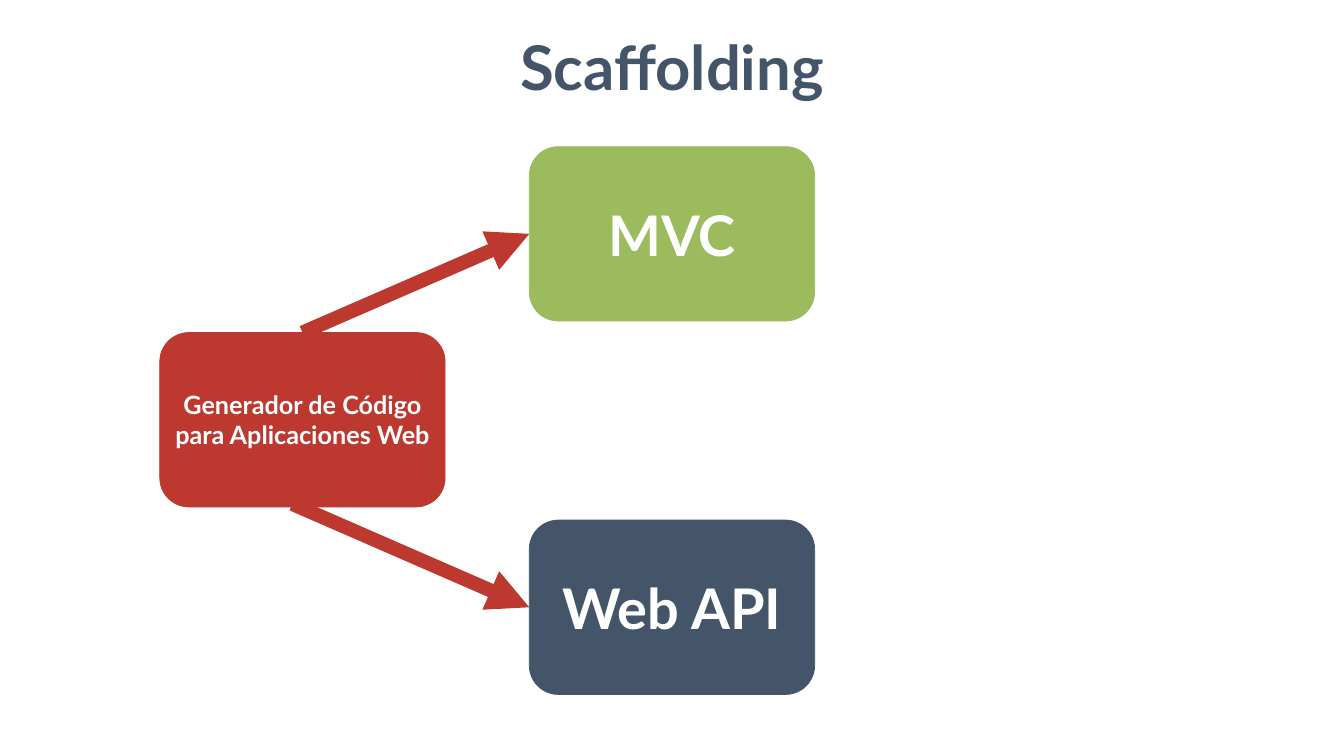
import dataclasses

import pptx
import pptx.dml.color
import pptx.enum.shapes
import pptx.enum.text
import pptx.oxml
import pptx.oxml.ns
import pptx.slide
import pptx.text.text
import pptx.util
from pptx.util import Cm

FONT = "Lato"
COLOURS = {"red": "BD392F", "green": "9BBB5C", "navy": "445469", "white": "FFFFFF"}
BOX_WIDTH, BOX_HEIGHT = 14.38, 8.79
TARGET_LEFT = 26.67


@dataclasses.dataclass(frozen=True)
class Box:
    label: str
    left: float
    top: float
    colour: str
    size: int

    @property
    def middle(self) -> float:
        return self.top + BOX_HEIGHT / 2


@dataclasses.dataclass(frozen=True)
class Arrow:
    start_x: float
    start_y: float
    target: Box


GENERATOR = Box("Generador de Código para Aplicaciones Web", 8.05, 16.76, "red", 36)
MVC = Box("MVC", TARGET_LEFT, 7.39, "green", 80)
WEB_API = Box("Web API", TARGET_LEFT, 26.21, "navy", 80)
ARROWS = [Arrow(15.24, 16.76, MVC), Arrow(14.73, 25.4, WEB_API)]


def rgb(colour: str) -> pptx.dml.color.RGBColor:
    return pptx.dml.color.RGBColor.from_string(COLOURS[colour])


def write_centred(frame: pptx.text.text.TextFrame, text: str, size: int, colour: str) -> None:
    frame.text = text
    frame.word_wrap = True
    paragraph = frame.paragraphs[0]
    paragraph.alignment = pptx.enum.text.PP_ALIGN.CENTER
    font = paragraph.runs[0].font
    font.name = FONT
    font.size = pptx.util.Pt(size)
    font.bold = True
    font.color.rgb = rgb(colour)


def draw_title(slide: pptx.slide.Slide) -> None:
    title = slide.shapes.add_textbox(Cm(16.69), Cm(1.35), Cm(34.34), Cm(4.01))
    write_centred(title.text_frame, "Scaffolding", 88, "navy")
    title.text_frame.auto_size = pptx.enum.text.MSO_AUTO_SIZE.SHAPE_TO_FIT_TEXT


def draw_box(slide: pptx.slide.Slide, box: Box) -> None:
    panel = slide.shapes.add_shape(
        pptx.enum.shapes.MSO_SHAPE.ROUNDED_RECTANGLE,
        Cm(box.left), Cm(box.top), Cm(BOX_WIDTH), Cm(BOX_HEIGHT),
    )
    panel.shadow.inherit = False
    panel.fill.solid()
    panel.fill.fore_color.rgb = rgb(box.colour)
    panel.line.color.rgb = rgb(box.colour)
    panel.line.width = pptx.util.Pt(1)
    panel.text_frame.vertical_anchor = pptx.enum.text.MSO_ANCHOR.MIDDLE
    write_centred(panel.text_frame, box.label, box.size, "white")


def draw_arrow(slide: pptx.slide.Slide, arrow: Arrow) -> None:
    """Point from the generator to the middle of the target's left edge."""
    connector = slide.shapes.add_connector(
        pptx.enum.shapes.MSO_CONNECTOR.STRAIGHT,
        Cm(arrow.start_x), Cm(arrow.start_y),
        Cm(arrow.target.left), Cm(arrow.target.middle),
    )
    connector.line.color.rgb = rgb("red")
    connector.line.width = pptx.util.Pt(20)
    properties = connector.element.spPr
    outline = properties.find(pptx.oxml.ns.qn("a:ln"))
    namespace = pptx.oxml.ns.nsdecls("a")
    outline.append(pptx.oxml.parse_xml(f'<a:tailEnd {namespace} type="triangle"/>'))
    properties.append(pptx.oxml.parse_xml(f"<a:effectLst {namespace}/>"))


def main() -> None:
    presentation = pptx.Presentation()
    presentation.slide_width = Cm(67.72)
    presentation.slide_height = Cm(38.1)
    slide = presentation.slides.add_slide(presentation.slide_layouts[6])
    draw_title(slide)
    for box in (GENERATOR, MVC, WEB_API):
        draw_box(slide, box)
    for arrow in ARROWS:
        draw_arrow(slide, arrow)
    presentation.save("out.pptx")


if __name__ == "__main__":
    main()
